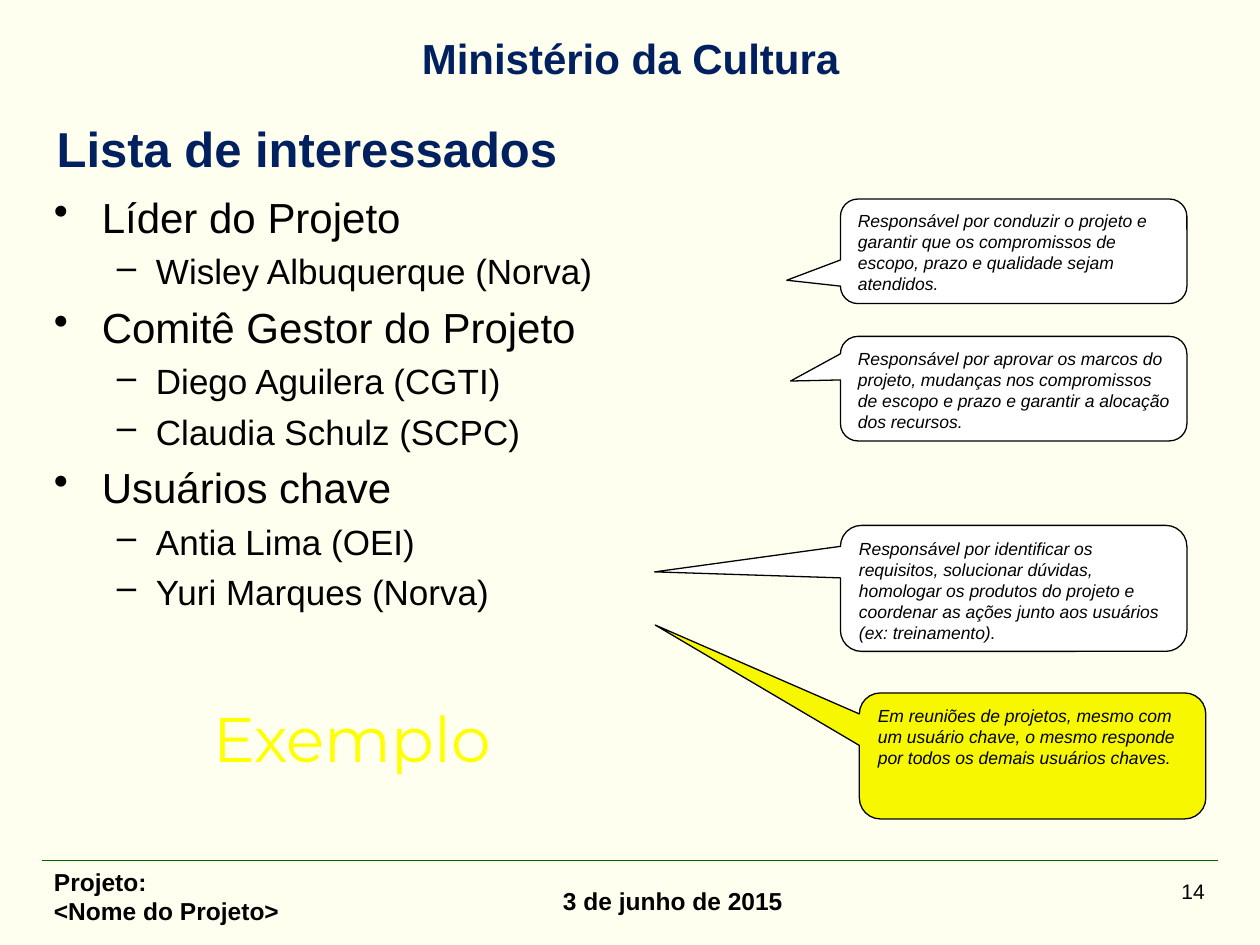
from pptx import Presentation
from pptx.dml.color import RGBColor
from pptx.enum.shapes import MSO_CONNECTOR, MSO_SHAPE
from pptx.enum.text import MSO_ANCHOR, MSO_AUTO_SIZE, PP_ALIGN
from pptx.oxml.ns import qn
from pptx.util import Inches, Pt
from lxml import etree

COLORS = {
    "background": "FFFFEF",
    "navy": "002060",
    "black": "000000",
    "white": "FFFFFF",
    "green": "006600",
    "yellow": "FFFF00",
    "note": "F7F700",
}
HEADER = "Ministério da Cultura"
TITLE = "Lista de interessados"
STAKEHOLDERS = [
    ("Líder do Projeto", ["Wisley Albuquerque (Norva)"]),
    ("Comitê Gestor do Projeto", ["Diego Aguilera (CGTI)", "Claudia Schulz (SCPC)"]),
    ("Usuários chave", ["Antia Lima (OEI)", "Yuri Marques (Norva)"]),
]
CALLOUTS = [
    ("Responsável por conduzir o projeto e garantir que os compromissos de escopo, "
     "prazo e qualidade sejam atendidos.",
     (6.67, 1.58, 2.75, 0.83), (-0.655, 0.277), "white"),
    ("Responsável por aprovar os marcos do projeto, mudanças nos compromissos de "
     "escopo e prazo e garantir a alocação dos recursos.",
     (6.67, 2.67, 2.75, 0.83), (-0.644, -0.073), "white"),
    ("Responsável por identificar os requisitos, solucionar dúvidas, homologar os "
     "produtos do projeto e coordenar as ações junto aos usuários (ex: treinamento).",
     (6.67, 4.17, 2.75, 1), (-1.036, -0.131), "white"),
    ("Em reuniões de projetos, mesmo com um usuário chave, o mesmo responde por "
     "todos os demais usuários chaves.",
     (6.82, 5.5, 2.75, 1), (-1.089, -1.039), "note"),
]
LEVELS = [
    {"size": 24, "bullet": "•", "margin": 0.38, "indent": -0.38},
    {"size": 20, "bullet": "–", "margin": 0.81, "indent": -0.31},
]


def color(name):
    return RGBColor.from_string(COLORS[name])


def format_text(text_frame, size, name="black", bold=False, italic=False,
                align=PP_ALIGN.LEFT, family="Arial"):
    for paragraph in text_frame.paragraphs:
        paragraph.alignment = align
        for run in paragraph.runs:
            font = run.font
            font.name, font.size = family, Pt(size)
            font.bold, font.italic = bold, italic
            font.color.rgb = color(name)


def add_text(slide, text, box, size, wrap=True, **style):
    shape = slide.shapes.add_textbox(*map(Inches, box))
    shape.text_frame.word_wrap = wrap
    shape.text_frame.text = text
    format_text(shape.text_frame, size, **style)
    return shape


def set_bullet(paragraph, level):
    properties = paragraph._p.get_or_add_pPr()
    properties.set("marL", str(Inches(level["margin"])))
    properties.set("indent", str(Inches(level["indent"])))
    etree.SubElement(properties, qn("a:buChar"), char=level["bullet"])


def add_stakeholders(slide):
    items = []
    for group, people in STAKEHOLDERS:
        items += [(group, 0)] + [(person, 1) for person in people]
    shape = add_text(slide, "\n".join(text for text, _ in items),
                     (0.33, 1.47, 9.33, 5.2), LEVELS[0]["size"])
    for paragraph, (_, depth) in zip(shape.text_frame.paragraphs, items):
        level = LEVELS[depth]
        paragraph.level = depth
        paragraph.space_before = Pt(level["size"] * 0.23)
        paragraph.runs[0].font.size = Pt(level["size"])
        set_bullet(paragraph, level)


def add_callout(slide, text, box, tip, fill):
    shape = slide.shapes.add_shape(MSO_SHAPE.ROUNDED_RECTANGULAR_CALLOUT, *map(Inches, box))
    shape.shadow.inherit = False
    for index, value in enumerate((*tip, 0.167)):
        shape.adjustments[index] = value
    shape.fill.solid()
    shape.fill.fore_color.rgb = color(fill)
    shape.line.color.rgb = color("black")
    shape.line.width = Pt(0.75)
    shape.text_frame.word_wrap = True
    shape.text_frame.vertical_anchor = MSO_ANCHOR.TOP
    shape.text_frame.text = text
    format_text(shape.text_frame, 10, italic=True)


def add_footer(slide):
    rule = slide.shapes.add_connector(MSO_CONNECTOR.STRAIGHT, Inches(0.33), Inches(6.83),
                                      Inches(9.67), Inches(6.83))
    rule.line.color.rgb = color("green")
    rule.line.width = Pt(0.75)
    etree.SubElement(rule._element.spPr, qn("a:effectLst"))
    add_text(slide, "3 de junho de 2015", (4.37, 6.98, 2.2, 0.39), 14, bold=True)
    add_text(slide, "14", (7.58, 6.92, 2.08, 0.5), 12, align=PP_ALIGN.RIGHT)
    add_text(slide, "Projeto:\n<Nome do Projeto>", (0.33, 6.83, 3, 0.5), 14, bold=True)


def add_title(slide):
    title = slide.shapes.title
    title.left, title.top, title.width, title.height = map(Inches, (0.35, 0.92, 9.33, 0.5))
    title.text_frame.text = TITLE
    title.text_frame.vertical_anchor = MSO_ANCHOR.MIDDLE
    title.text_frame.auto_size = MSO_AUTO_SIZE.NONE
    format_text(title.text_frame, 28, "navy", bold=True)


def main():
    presentation = Presentation()
    presentation.slide_width, presentation.slide_height = Inches(10), Inches(7.5)
    slide = presentation.slides.add_slide(presentation.slide_layouts[5])
    slide.background.fill.solid()
    slide.background.fill.fore_color.rgb = color("background")

    add_footer(slide)
    header = add_text(slide, HEADER, (0.47, 0.21, 9.07, 0.5), 24, name="navy", bold=True,
                      align=PP_ALIGN.CENTER)
    header.text_frame.auto_size = MSO_AUTO_SIZE.SHAPE_TO_FIT_TEXT
    add_title(slide)
    add_stakeholders(slide)
    for callout in CALLOUTS:
        add_callout(slide, *callout)
    add_text(slide, "Exemplo", (1.06, 5.5, 3.47, 1.34), 36, wrap=False, name="yellow",
             align=PP_ALIGN.CENTER, family="Montserrat")
    presentation.save("out.pptx")


if __name__ == "__main__":
    main()
